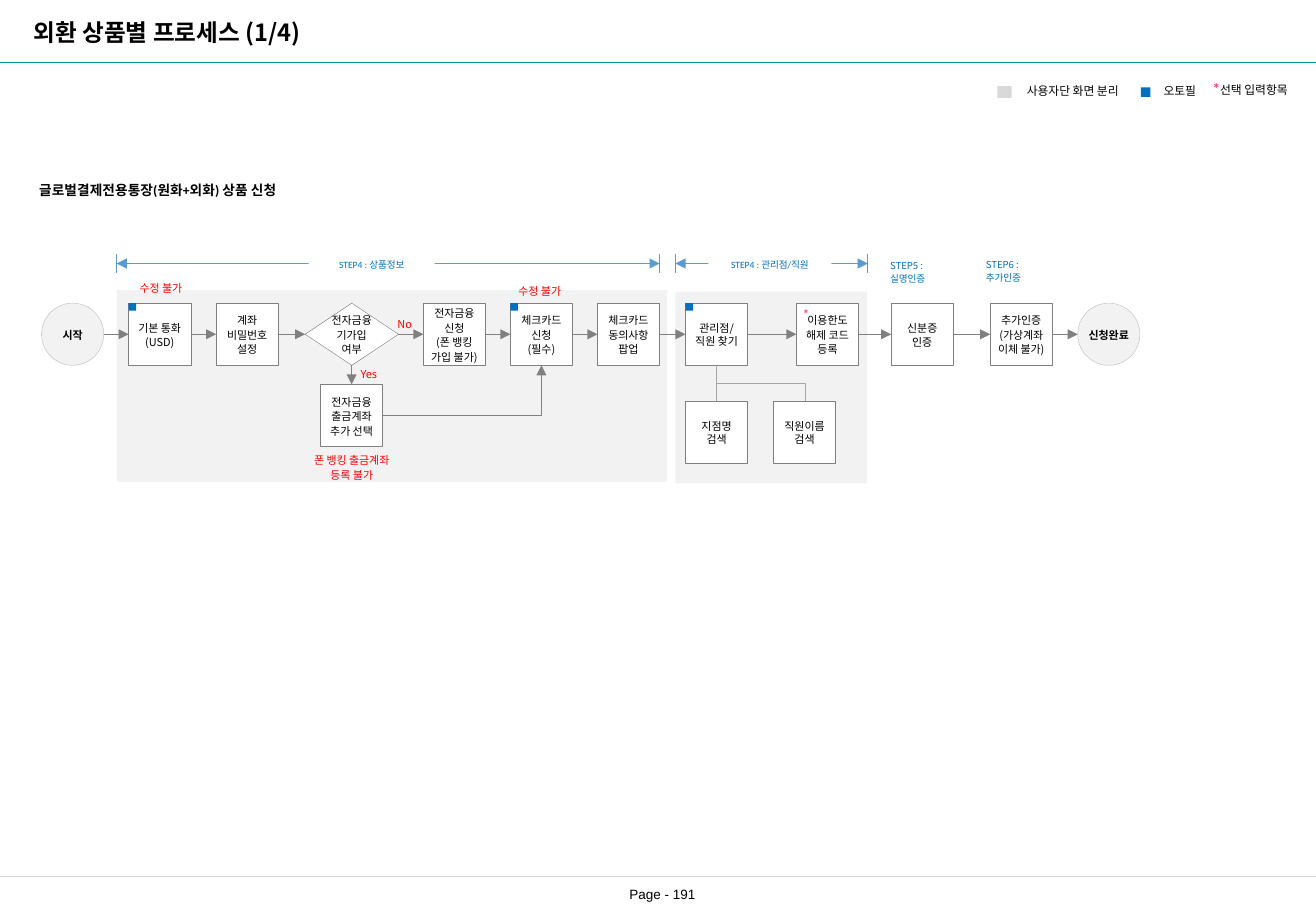
import itertools

import pptx
import pptx.dml.color
import pptx.enum.shapes
import pptx.enum.text
import pptx.oxml
import pptx.oxml.ns
import pptx.util

Cm = pptx.util.Cm
Pt = pptx.util.Pt
RGBColor = pptx.dml.color.RGBColor
Kind = pptx.enum.shapes.MSO_SHAPE
Join = pptx.enum.shapes.MSO_CONNECTOR
Align = pptx.enum.text.PP_ALIGN
Anchor = pptx.enum.text.MSO_ANCHOR

BLACK = RGBColor(0x00, 0x00, 0x00)
WHITE = RGBColor(0xFF, 0xFF, 0xFF)
PANEL = RGBColor(0xF2, 0xF2, 0xF2)
SILVER = RGBColor(0xD9, 0xD9, 0xD9)
CIRCLE_EDGE = RGBColor(0xBF, 0xBF, 0xBF)
FORK = RGBColor(0xA6, 0xA6, 0xA6)
GREY = RGBColor(0x80, 0x80, 0x80)
TEAL = RGBColor(0x00, 0x99, 0x99)
BLUE = RGBColor(0x00, 0x70, 0xC0)
BRACKET = RGBColor(0x5B, 0x9B, 0xD5)
RED = RGBColor(0xFF, 0x00, 0x00)
PINK = RGBColor(0xFF, 0x38, 0x78)
KOREAN = "Noto Sans CJK KR"

deck = pptx.Presentation()
deck.slide_width, deck.slide_height = Cm(27.51), Cm(19.05)
page = deck.slides.add_slide(deck.slide_layouts[6])


def add_box(at, text="", fill=None, edge=None, kind=Kind.RECTANGLE, colour=BLACK, size=6.5,
            font=KOREAN, bold=False, align=Align.CENTER, anchor=Anchor.TOP, wrap=False, spacing=1.11):
    """Add a text box, or a shape if it has a fill; one paragraph per line of text."""
    place = [Cm(length) for length in at]
    if fill is None:
        box = page.shapes.add_textbox(*place)
    else:
        box = page.shapes.add_shape(kind, *place)
        box.shadow.inherit = False
        box.fill.solid()
        box.fill.fore_color.rgb = fill
        if edge is None:
            box.line.fill.background()
        else:
            box.line.color.rgb = edge
            box.line.width = Pt(0.25)
    if not text:
        return box
    frame = box.text_frame
    frame.word_wrap = wrap
    frame.vertical_anchor = anchor
    for number, line in enumerate(text.split("\n")):
        para = frame.add_paragraph() if number else frame.paragraphs[0]
        para.alignment = align
        para.line_spacing = spacing
        span = para.add_run()
        span.text = line
        for name, value in {"name": font, "size": Pt(size), "bold": bold}.items():
            setattr(span.font, name, value)
        span.font.color.rgb = colour
    return box


def add_line(start, end, colour=GREY, width=0.25, heads=("tailEnd",), kind=Join.STRAIGHT):
    line = page.shapes.add_connector(kind, *(Cm(length) for length in (*start, *end)))
    line.line.color.rgb = colour
    line.line.width = Pt(width)
    stroke = line.line._get_or_add_ln()
    for head in heads:
        stroke.append(pptx.oxml.parse_xml(
            f'<a:{head} {pptx.oxml.ns.nsdecls("a")} type="triangle"/>'))
    line._element.spPr.append(pptx.oxml.parse_xml(f'<a:effectLst {pptx.oxml.ns.nsdecls("a")}/>'))
    return line


# Page frame
add_line((0, 1.3), (27.51, 1.3), TEAL, heads=())
add_line((0, 18.33), (27.51, 18.33), SILVER, 0.5, heads=())
add_box((0.45, 0.25, 22.23, 0.86), "외환 상품별 프로세스 (1/4)", size=14, bold=True,
        align=Align.LEFT, anchor=Anchor.MIDDLE, wrap=True, spacing=1)
add_box((11.85, 18.33, 4, 0.74), "Page - 191", size=8, font="Arial",
        anchor=Anchor.MIDDLE, spacing=1)
add_box((0.57, 3.69, 5.97, 0.56), "글로벌결제전용통장(원화+외화) 상품 신청", size=8.1,
        font="Calibri", bold=True, align=Align.LEFT, anchor=Anchor.MIDDLE, spacing=1)

# Legend
legend = {"size": 7, "font": "Calibri", "wrap": True, "spacing": 1}
add_box((20.85, 1.8, 0.3, 0.25), fill=SILVER)
add_box((21.08, 1.63, 2.69, 0.58), "사용자단 화면 분리", **legend)
add_box((23.85, 1.83, 0.2, 0.2), fill=BLUE)
add_box((23.85, 1.63, 1.63, 0.56), "오토필", **legend)
optional = add_box((25.1, 1.53, 2.36, 0.64), "*", colour=PINK, bold=True, align=Align.LEFT,
                   **{**legend, "size": 9})
span = optional.text_frame.paragraphs[0].add_run()
span.text = "선택 입력항목"
for name, value in {"name": "Calibri", "size": Pt(7), "bold": False}.items():
    setattr(span.font, name, value)
span.font.color.rgb = BLACK

# Panels and step brackets
STEP_Y = 5.51
for left, right, top, panel_width, label_left, label_width, label in (
        (2.44, 13.79, 6.07, 11.51, 6.45, 2.64, "STEP4 : 상품정보"),
        (14.12, 18.14, 6.1, 4.01, 14.81, 2.57, "STEP4 : 관리점/직원")):
    add_box((left, top, panel_width, 4.01), fill=PANEL)
    for x in (left, right):
        add_line((x, STEP_Y - 0.2), (x, STEP_Y + 0.19), BRACKET, 0.5, heads=())
    add_line((left, STEP_Y), (right, STEP_Y), BRACKET, 0.5, heads=("headEnd", "tailEnd"))
    add_box((label_left, 5.28, label_width, 0.51), label, fill=WHITE, colour=BLUE, size=5.7,
            font="Calibri", wrap=True, spacing=1)
for left, top, label in ((18.36, 5.29, "STEP5 :\n실명인증"), (20.36, 5.26, "STEP6 :\n추가인증")):
    add_box((left, top, 1.32, 0.79), label, fill=WHITE, colour=BLUE, size=5.7, align=Align.LEFT)

# Main flow
SIDE, FLOW_TOP = 1.3, 6.34
FLOW_MIDDLE, FLOW_BOTTOM = FLOW_TOP + SIDE / 2, FLOW_TOP + SIDE
STEP = {"fill": WHITE, "edge": GREY, "anchor": Anchor.MIDDLE}
TERMINAL = {**STEP, "fill": PANEL, "edge": CIRCLE_EDGE, "kind": Kind.OVAL, "bold": True}
DECISION = {**STEP, "kind": Kind.FLOWCHART_DECISION}
SINGLE = {**STEP, "spacing": 1}
flow = (
    (0.87, SIDE, "시작", TERMINAL),
    (2.69, SIDE, "기본 통화\n(USD)", STEP),
    (4.52, SIDE, "계좌\n비밀번호\n설정", STEP),
    (6.38, 1.95, "전자금융\n기가입\n여부", DECISION),
    (8.85, SIDE, "전자금융\n신청\n(폰 뱅킹\n가입 불가)", STEP),
    (10.67, SIDE, "체크카드\n신청\n(필수)", STEP),
    (12.49, SIDE, "체크카드\n동의사항\n팝업", STEP),
    (14.33, SIDE, "관리점/\n직원 찾기", SINGLE),
    (16.65, SIDE, "이용한도\n해제 코드\n등록", STEP),
    (18.63, SIDE, "신분증\n인증", STEP),
    (20.7, SIDE, "추가인증\n(가상계좌\n이체 불가)", STEP),
    (22.53, SIDE, "신청완료", TERMINAL),
)
for left, width, text, style in flow:
    add_box((left, FLOW_TOP, width, SIDE), text, **style)
for before, after in itertools.pairwise(flow):
    add_line((before[0] + before[1], FLOW_MIDDLE), (after[0], FLOW_MIDDLE))

# Branches below the flow
for left, top, text, style in ((6.7, 8.04, "전자금융\n출금계좌\n추가 선택", STEP),
                               (14.33, 8.39, "지점명\n검색", SINGLE),
                               (16.17, 8.39, "직원이름\n검색", SINGLE)):
    add_box((left, top, SIDE, SIDE), text, **style)
add_line((7.35, FLOW_BOTTOM), (7.35, 8.04))
back = add_line((8, 8.69), (11.32, FLOW_BOTTOM), kind=Join.ELBOW)
back._element.spPr.prstGeom.set("prst", "bentConnector2")
add_line((14.98, FLOW_BOTTOM), (14.98, 8.39), FORK, 0.5, heads=())
fork = add_line((16.28, 7.09), (15.53, 8.94), FORK, 0.5, heads=(), kind=Join.ELBOW)
fork._element.spPr.xfrm.set("rot", "16200000")

# Markers and notes
for left in (2.69, 10.67, 14.33):
    add_box((left, FLOW_TOP, 0.16, 0.16), fill=BLUE)
add_box((16.54, 6.27, 0.64, 0.61), "*", colour=PINK, size=7.3, align=Align.LEFT)
for at, text in (((7.46, 6.48, 2, 0.53), "No"), ((6.71, 7.54, 2, 0.53), "Yes"),
                 ((6.25, 9.34, 2.21, 0.84), "폰 뱅킹 출금계좌\n등록 불가"),
                 ((2.64, 5.74, 1.45, 0.53), "수정 불가"), ((10.56, 5.8, 1.45, 0.53), "수정 불가")):
    add_box(at, text, colour=RED)

deck.save("out.pptx")
